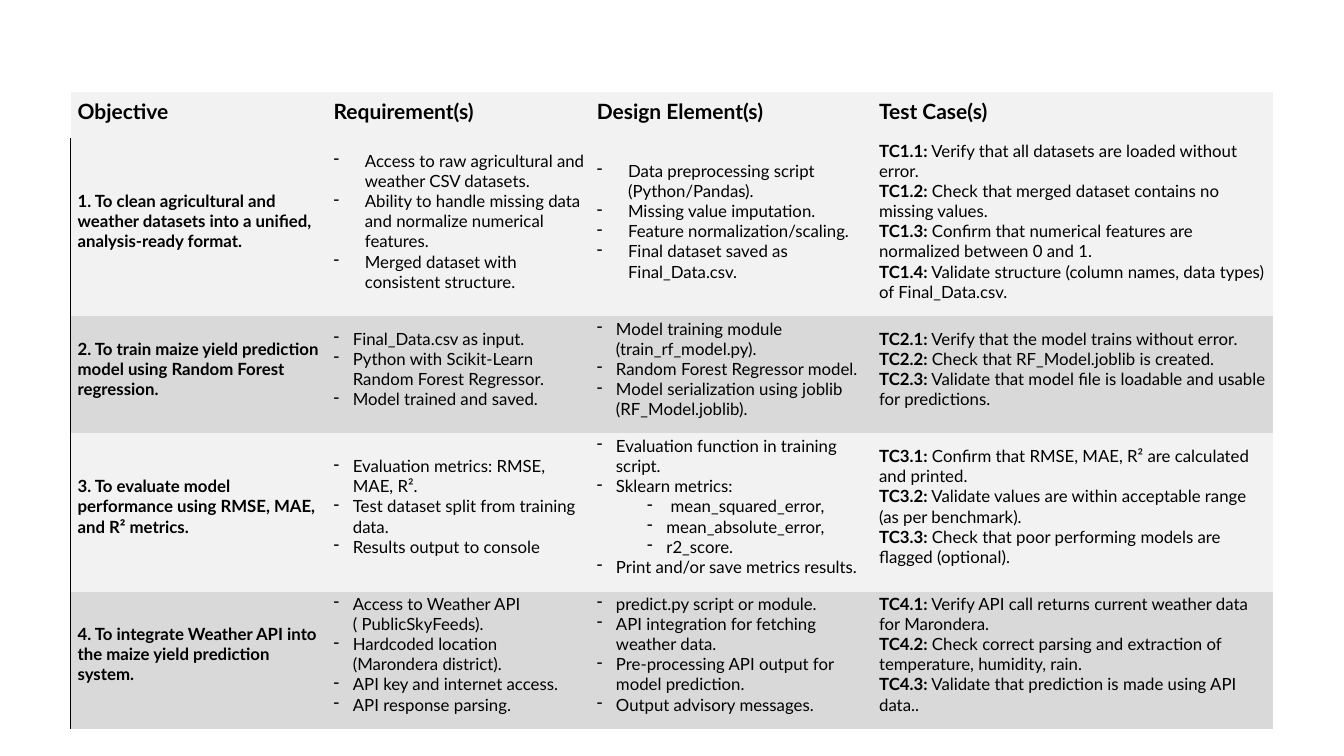
from lxml import etree
from pptx import Presentation
from pptx.dml.color import RGBColor
from pptx.enum.text import MSO_ANCHOR
from pptx.oxml.ns import qn
from pptx.util import Inches, Pt

BLACK = RGBColor(0x00, 0x00, 0x00)
LIGHT = RGBColor(0xF2, 0xF2, 0xF2)
GREY = RGBColor(0xD9, 0xD9, 0xD9)
MIDDLE, BOTTOM = MSO_ANCHOR.MIDDLE, MSO_ANCHOR.BOTTOM
FONT = "Lato"
WIDTHS = [2.54, 2.61, 2.8, 3.98]
HEIGHTS = [0.46, 1.77, 1.16, 1.57, 1.35]

# Each cell is a list of paragraphs; a leading tab marks a nested item.
ROWS = [
    [["Objective"], ["Requirement(s)"], ["Design Element(s)"], ["Test Case(s)"]],
    [
        ["1. To clean agricultural and weather datasets into a unified, analysis-ready format."],
        ["Access to raw agricultural and weather CSV datasets.",
         "Ability to handle missing data and normalize numerical features.",
         "Merged dataset with consistent structure."],
        ["Data preprocessing script (Python/Pandas).",
         "Missing value imputation.",
         "Feature normalization/scaling.",
         "Final dataset saved as Final_Data.csv."],
        ["TC1.1: Verify that all datasets are loaded without error.",
         "TC1.2: Check that merged dataset contains no missing values.",
         "TC1.3: Confirm that numerical features are normalized between 0 and 1.",
         "TC1.4: Validate structure (column names, data types) of Final_Data.csv."],
    ],
    [
        ["2. To train maize yield prediction model using Random Forest regression."],
        ["Final_Data.csv as input.",
         "Python with Scikit-Learn Random Forest Regressor.",
         "Model trained and saved."],
        ["Model training module (train_rf_model.py).",
         "Random Forest Regressor model.",
         "Model serialization using joblib (RF_Model.joblib)."],
        ["TC2.1: Verify that the model trains without error.",
         "TC2.2: Check that RF_Model.joblib is created.",
         "TC2.3: Validate that model file is loadable and usable for predictions."],
    ],
    [
        ["3. To evaluate model performance using RMSE, MAE, and R² metrics."],
        ["Evaluation metrics: RMSE, MAE, R².",
         "Test dataset split from training data.",
         "Results output to console"],
        ["Evaluation function in training script.",
         "Sklearn metrics:",
         "\t mean_squared_error,",
         "\tmean_absolute_error,",
         "\tr2_score.",
         "Print and/or save metrics results."],
        ["TC3.1: Confirm that RMSE, MAE, R² are calculated and printed.",
         "TC3.2: Validate values are within acceptable range (as per benchmark).",
         "TC3.3: Check that poor performing models are flagged (optional)."],
    ],
    [
        ["4. To integrate Weather API into the maize yield prediction system."],
        ["Access to Weather API ( PublicSkyFeeds).",
         "Hardcoded location (Marondera district).",
         "API key and internet access.",
         "API response parsing."],
        ["predict.py script or module.",
         "API integration for fetching weather data.",
         "Pre-processing API output for model prediction.",
         "Output advisory messages."],
        ["TC4.1: Verify API call returns current weather data for Marondera.",
         "TC4.2: Check correct parsing and extraction of temperature, humidity, rain.",
         "TC4.3: Validate that prediction is made using API data.."],
    ],
]


def add_dash(para, hang, nested):
    props = para._p.get_or_add_pPr()
    left = hang + (0.5 if nested else 0)
    props.set("marL", str(Inches(left)))
    props.set("indent", str(-Inches(hang)))
    if nested:
        para.level = 1
    etree.SubElement(props, qn("a:buChar")).set("char", "-")


def set_edges(cell, ruled):
    """Clear all four borders, but draw the left one if ruled."""
    props = cell._tc.get_or_add_tcPr()
    for spot, side in enumerate(["lnL", "lnR", "lnT", "lnB"]):
        line = etree.Element(qn(f"a:{side}"))
        if ruled and side == "lnL":
            line.set("w", str(Pt(1)))
            fill = etree.SubElement(line, qn("a:solidFill"))
            etree.SubElement(fill, qn("a:srgbClr")).set("val", str(BLACK))
        else:
            etree.SubElement(line, qn("a:noFill"))
        props.insert(spot, line)


deck = Presentation()
deck.slide_width, deck.slide_height = Inches(13.33), Inches(7.5)
slide = deck.slides.add_slide(deck.slide_layouts[6])

frame = slide.shapes.add_table(
    len(HEIGHTS), len(WIDTHS), Inches(0.7), Inches(0.91),
    Inches(sum(WIDTHS)), Inches(sum(HEIGHTS)))
table = frame.table
for col, width in zip(table.columns, WIDTHS):
    col.width = Inches(width)
for row, height in zip(table.rows, HEIGHTS):
    row.height = Inches(height)

for r, row in enumerate(ROWS):
    head = r == 0
    hang = 0.31 if r == 1 else 0.19
    for c, lines in enumerate(row):
        cell = table.cell(r, c)
        cell.fill.solid()
        cell.fill.fore_color.rgb = GREY if r in (2, 4) else LIGHT
        set_edges(cell, c == 0 and not head)
        cell.vertical_anchor = BOTTOM if head else MIDDLE
        cell.margin_left, cell.margin_right = Inches(0.07), Inches(0.04)
        cell.margin_top, cell.margin_bottom = Inches(0.02), Inches(0.14)

        cell.text_frame.text = "\n".join(line.strip("\t") for line in lines)
        for para, line in zip(cell.text_frame.paragraphs, lines):
            if not head and c in (1, 2):
                add_dash(para, hang, line.startswith("\t"))
            if not head and c == 3:
                label, rest = line.split(":", 1)
                para.runs[0].text = label + ":"
                para.add_run().text = rest
            for n, run in enumerate(para.runs):
                run.font.name = FONT
                run.font.size = Pt(15 if head else 12)
                run.font.color.rgb = BLACK
                run.font.bold = head or c == 0 or (c == 3 and n == 0)

deck.save("out.pptx")
